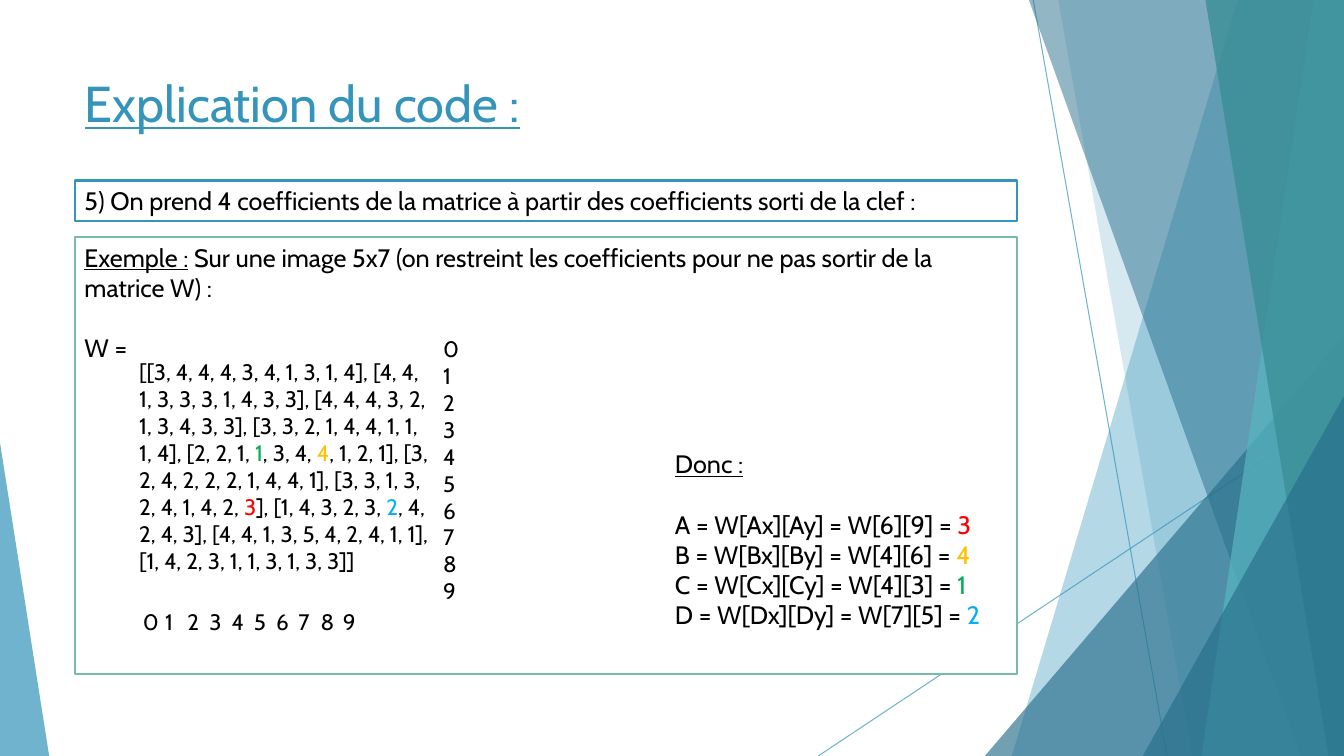
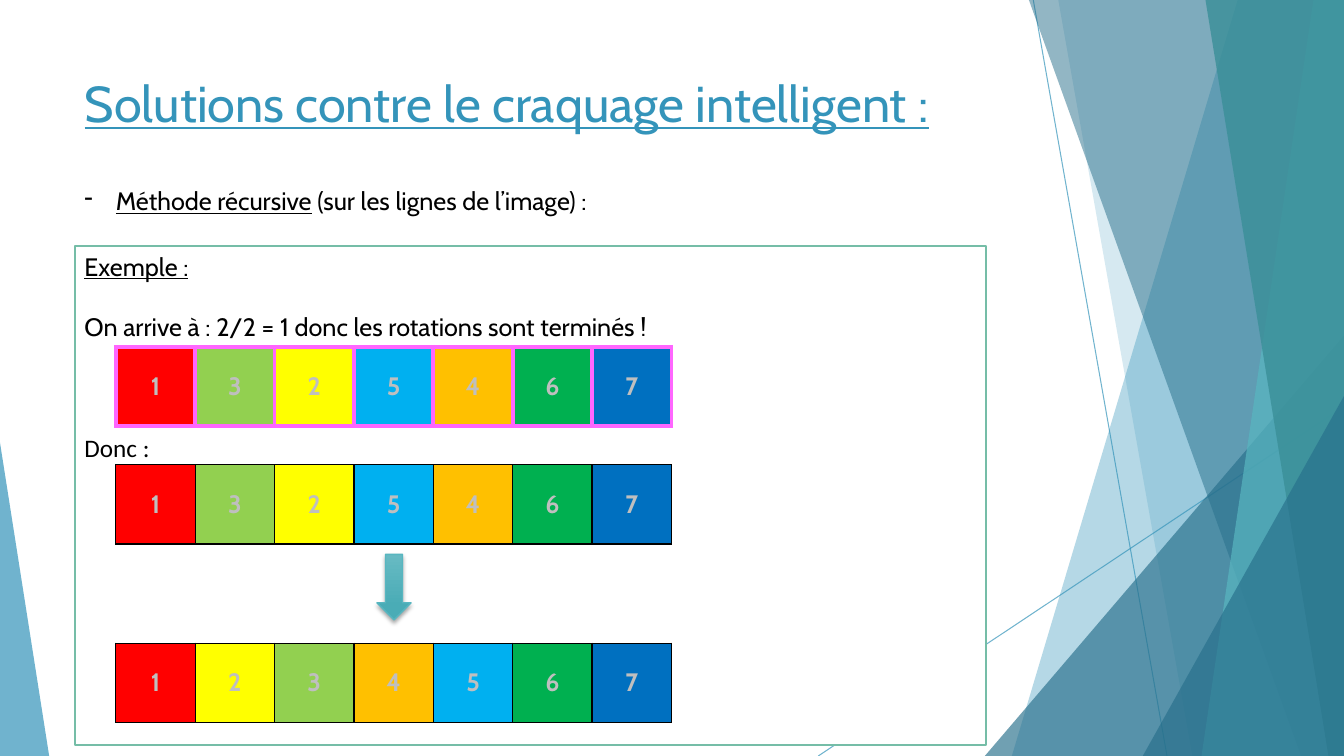
"""Build two slides on an image encryption code and its recursive row rotation."""
import pptx
import pptx.dml.color
import pptx.enum.shapes
import pptx.enum.text
import pptx.oxml
import pptx.oxml.ns
import pptx.util
from lxml import etree

Cm = pptx.util.Cm
Pt = pptx.util.Pt
qn = pptx.oxml.ns.qn
presets = pptx.enum.shapes.MSO_SHAPE
anchors = pptx.enum.text.MSO_ANCHOR
aligns = pptx.enum.text.PP_ALIGN

BLUE, DEEP_BLUE, TEAL, DEEP_TEAL = "3494BA", "276F8B", "58B6C0", "3A8F98"
GREEN_BORDER, WHITE, BLACK, CELL_GREY = "75BDA7", "FFFFFF", "000000", "BFBFBF"
RED, AMBER, GREEN, SKY = "FF0000", "FFC000", "00B050", "00B0F0"
WIDTH, HEIGHT = 33.87, 19.05
LEFT = 1.88
LINE_GAP = 21.6


def paint(fill, colour):
    """Give a shape, line, cell or font fill one solid colour."""
    fill.solid()
    fill.fore_color.rgb = pptx.dml.color.RGBColor.from_string(colour)


def write(frame, paragraphs, size=18, gaps={}, align=aligns.LEFT):
    """Fill a text frame with paragraphs of (text, format) runs."""
    for index, runs in enumerate(paragraphs):
        paragraph = frame.paragraphs[0] if index == 0 else frame.add_paragraph()
        paragraph.alignment = align
        paragraph.space_after = Pt(gaps.get(index, 0))
        for text, changes in runs:
            run = paragraph.add_run()
            run.text = text
            look = {"name": "Cabin", "size": Pt(size), "colour": BLACK, **changes}
            paint(run.font.fill, look.pop("colour"))
            for attribute, value in look.items():
                setattr(run.font, attribute, value)


deck = pptx.Presentation()
deck.slide_width, deck.slide_height = Cm(WIDTH), Cm(HEIGHT)
layout = deck.slide_layouts[5]

slides = []
for heading in ("Explication du code :", "Solutions contre le craquage intelligent :"):
    slide = deck.slides.add_slide(layout)
    slides.append(slide)
    title = slide.shapes.title
    place = {"left": Cm(LEFT), "top": Cm(1.7), "width": Cm(23.88), "height": Cm(2.06)}
    for attribute, value in place.items():
        setattr(title, attribute, value)
    title.text_frame.vertical_anchor = anchors.TOP
    title.text_frame.auto_size = pptx.enum.text.MSO_AUTO_SIZE.NONE
    write(title.text_frame, [[(heading, {"colour": BLUE, "underline": True})]], size=36)
code_slide, rotation_slide = slides

rays = [((26.04, 0), (29.41, HEIGHT)), ((WIDTH, 10.24), (20.62, HEIGHT))]
facets = [
    ("band", (31.19, 25.5), BLUE, 36),
    ("band", (26.67, 30.05), BLUE, 20),
    ("triangle", (24.82, 8.46, 9.05, 1), DEEP_BLUE, 66),
    ("band", (25.93, 32.79), DEEP_BLUE, 50),
    ("band", (33.1, 30.28), TEAL, 70),
    ("band", (30.38, 33.48), DEEP_TEAL, 80),
    ("triangle", (28.8, 9.98, 5.07, 1), DEEP_BLUE, 66),
    ("triangle", (0, 11.15, 1.24, 0), BLUE, 70),
]
backdrop = []
for start, end in rays:
    ray = code_slide.shapes.add_connector(
        pptx.enum.shapes.MSO_CONNECTOR.STRAIGHT, *map(Cm, start + end))
    paint(ray.line.fill, BLUE)
    ray.line.width = Pt(0.75)
    etree.SubElement(ray.element.spPr, qn("a:effectLst"))
    backdrop.append((ray, 70))
for kind, geometry, colour, opacity in facets:
    if kind == "band":
        top_x, bottom_x = geometry
        outline = code_slide.shapes.build_freeform(Cm(top_x), 0)
        outline.add_line_segments(
            [(Cm(WIDTH), 0), (Cm(WIDTH), Cm(HEIGHT)), (Cm(bottom_x), Cm(HEIGHT))])
        facet = outline.convert_to_shape()
    else:
        left, top, width, apex = geometry
        facet = code_slide.shapes.add_shape(
            presets.ISOSCELES_TRIANGLE, Cm(left), Cm(top), Cm(width), Cm(HEIGHT - top))
        facet.adjustments[0] = apex
    facet.shadow.inherit = False
    paint(facet.fill, colour)
    facet.line.fill.background()
    backdrop.append((facet, opacity))

for order, (part, opacity) in enumerate(backdrop):
    for tint in part.element.iter(qn("a:srgbClr")):
        etree.SubElement(tint, qn("a:alpha"), val=str(opacity * 1000))
    next(part.element.iter(qn("p:cNvPr"))).set("id", str(100 + order))
    layout.shapes.element.insert(2 + order, part.element)

example = ("Exemple :", {"underline": True})
panels = [
    (code_slide, 4.55, 23.75, 1.02, BLUE, {}, [
        [("5) On prend 4 coefficients de la matrice à partir des coefficients sorti de la clef :", {})]]),
    (code_slide, 5.97, 23.75, 11.02, GREEN_BORDER, {0: LINE_GAP}, [
        [example, (" Sur une image 5x7 (on restreint les coefficients pour ne pas "
                   "sortir de la matrice W) :", {})],
        [("W =", {})]]),
    (rotation_slide, 6.2, 22.96, 12.57, GREEN_BORDER, {0: LINE_GAP, 1: 3 * LINE_GAP}, [
        [example],
        [("On arrive à : 2/2 = 1 donc les rotations sont terminés !", {})],
        [("Donc :", {"name": "Calibri"})]]),
]
for slide, top, width, height, border, gaps, paragraphs in panels:
    panel = slide.shapes.add_shape(presets.RECTANGLE, Cm(LEFT), Cm(top), Cm(width), Cm(height))
    panel.shadow.inherit = False
    paint(panel.fill, WHITE)
    paint(panel.line.fill, border)
    panel.line.width = Pt(1.5)
    panel.text_frame.vertical_anchor = anchors.TOP
    panel.text_frame.word_wrap = True
    write(panel.text_frame, paragraphs, gaps=gaps)

results = [[("Donc :", {"underline": True})]]
for letter, row, column, value, colour in (
        ("A", 6, 9, 3, RED), ("B", 4, 6, 4, AMBER), ("C", 4, 3, 1, GREEN), ("D", 7, 5, 2, SKY)):
    results.append([(f"{letter} = W[{letter}x][{letter}y] = W[{row}][{column}] = ", {}),
                    (str(value), {"colour": colour})])

matrix = [[
    ("[[3, 4, 4, 4, 3, 4, 1, 3, 1, 4], [4, 4, 1, 3, 3, 3, 1, 4, 3, 3], "
     "[4, 4, 4, 3, 2, 1, 3, 4, 3, 3], [3, 3, 2, 1, 4, 4, 1, 1, 1, 4], [2, 2, 1, ", {}),
    ("1", {"colour": GREEN}),
    (", 3, 4, ", {}),
    ("4", {"colour": AMBER}),
    (", 1, 2, 1], [3, 2, 4, 2, 2, 2, 1, 4, 4, 1], [3, 3, 1, 3, 2, 4, 1, 4, 2, ", {}),
    ("3", {"colour": RED}),
    ("], [1, 4, 3, 2, 3, ", {}),
    ("2", {"colour": SKY}),
    (", 4, 2, 4, 3], [4, 4, 1, 3, 5, 4, 2, 4, 1, 1], [1, 4, 2, 3, 1, 1, 3, 1, 3, 3]]", {}),
]]
digits = [str(digit) for digit in range(10)]
method = [[("Méthode récursive", {"underline": True}), (" (sur les lignes de l’image) :", {})]]

notes = []
for slide, left, top, width, height, size, gaps, paragraphs in (
        (code_slide, 16.76, 11.18, 8.48, 5.64, 18, {0: LINE_GAP}, results),
        (code_slide, 10.92, 8.33, 0.84, 7.26, 16, {}, [[(digit, {})] for digit in digits]),
        (code_slide, 3.35, 15.19, 7.4, 0.94, 16, {}, [[("\t".join(digits), {})]]),
        (code_slide, 3.51, 8.33, 7.42, 6.83, 16, {}, matrix),
        (rotation_slide, LEFT, 4.55, 17.86, 1.02, 18, {}, method)):
    note = slide.shapes.add_textbox(Cm(left), Cm(top), Cm(width), Cm(height))
    note.text_frame.word_wrap = True
    write(note.text_frame, paragraphs, size, gaps)
    notes.append(note)
result_note, row_axis, column_axis, matrix_note, method_note = notes

matrix_format = {"vertical_anchor": anchors.MIDDLE, "margin_left": 0, "margin_right": 0,
                 "margin_top": 0, "margin_bottom": 0}
for attribute, value in matrix_format.items():
    setattr(matrix_note.text_frame, attribute, value)

axis_properties = next(column_axis.element.iter(qn("a:pPr")))
tab_stops = etree.SubElement(axis_properties, qn("a:tabLst"))
for column in range(1, len(digits)):
    etree.SubElement(tab_stops, qn("a:tab"), pos=str(Cm(0.56 * column)), algn="l")

method_properties = next(method_note.element.iter(qn("a:pPr")))
method_properties.set("marL", str(Cm(0.79)))
method_properties.set("indent", str(Cm(-0.79)))
etree.SubElement(method_properties, qn("a:buChar"), char="-")

arrow = rotation_slide.shapes.add_shape(
    presets.DOWN_ARROW, Cm(9.5), Cm(13.97), Cm(0.86), Cm(1.65))
arrow.fill.gradient()
arrow.fill.gradient_angle = 270
for stop, (position, colour) in zip(arrow.fill.gradient_stops, ((0, "67BAC3"), (0.78, "4AACB6"))):
    stop.position = position
    stop.color.rgb = pptx.dml.color.RGBColor.from_string(colour)
paint(arrow.line.fill, TEAL)
arrow.line.width = Pt(1)
arrow.shadow.inherit = False
shadow = etree.SubElement(
    arrow.element.spPr.find(qn("a:effectLst")), qn("a:outerShdw"),
    blurRad=str(Pt(3)), dist=str(Pt(2)), dir="5400000", rotWithShape="0")
shadow_colour = etree.SubElement(shadow, qn("a:srgbClr"), val=BLACK)
etree.SubElement(shadow_colour, qn("a:alpha"), val="35000")

pixel_colours = {1: RED, 2: "FFFF00", 3: "92D050", 4: AMBER, 5: SKY, 6: GREEN, 7: "0070C0"}
rotated, restored = (1, 3, 2, 5, 4, 6, 7), (1, 2, 3, 4, 5, 6, 7)
pixel_side = 2
for top, pixels, border, thickness in (
        (8.74, rotated, "FF66FF", 3), (16.21, restored, BLACK, 1), (11.71, rotated, BLACK, 1)):
    strip = rotation_slide.shapes.add_table(
        1, len(pixels), Cm(2.92), Cm(top), Cm(pixel_side * len(pixels)), Cm(pixel_side))
    strip.table.first_row = strip.table.horz_banding = False
    for cell, pixel in zip(strip.table.iter_cells(), pixels):
        paint(cell.fill, pixel_colours[pixel])
        cell.vertical_anchor = anchors.MIDDLE
        write(cell.text_frame, [[(str(pixel), {"colour": CELL_GREY, "bold": True})]],
              align=aligns.CENTER)
    for properties in strip.element.iter(qn("a:tcPr")):
        for order, side in enumerate(("a:lnL", "a:lnR", "a:lnT", "a:lnB")):
            edge = etree.Element(qn(side), w=str(Pt(thickness)))
            edge_fill = etree.SubElement(edge, qn("a:solidFill"))
            etree.SubElement(edge_fill, qn("a:srgbClr"), val=border)
            properties.insert(order, edge)

deck.save("out.pptx")
